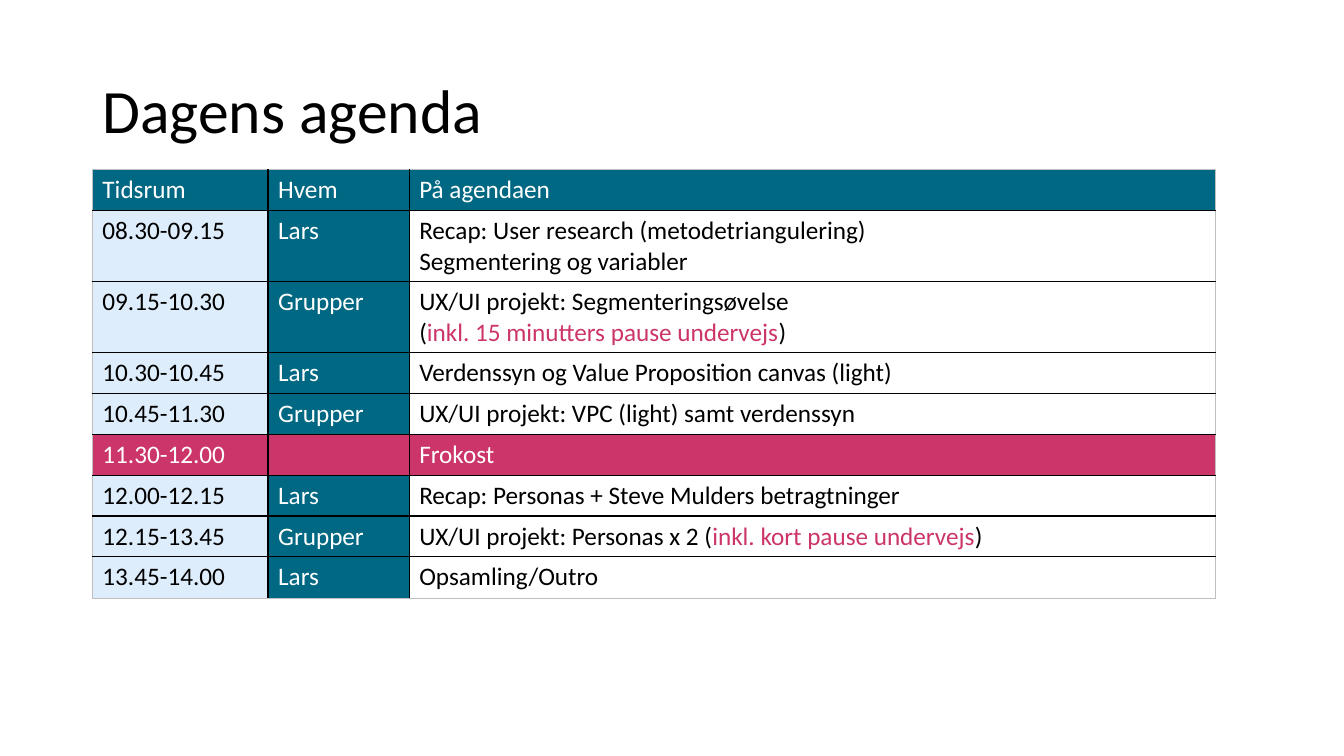
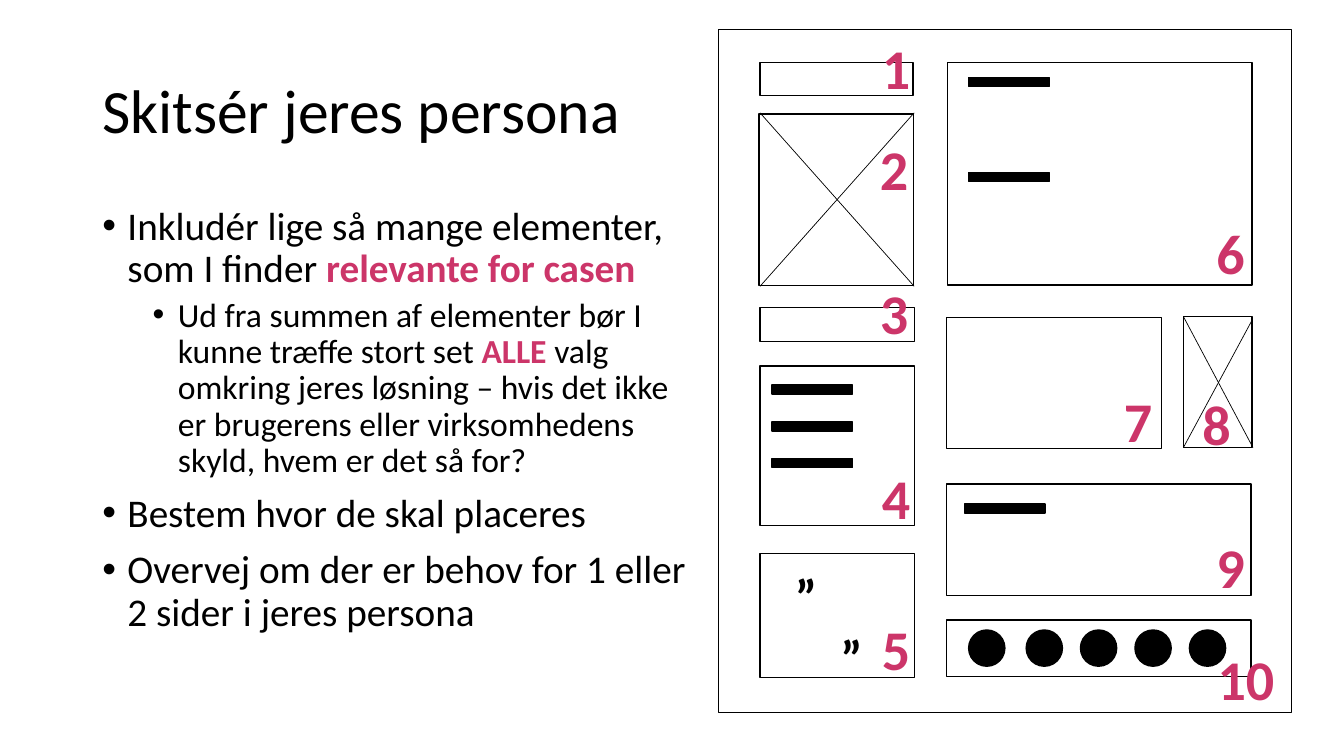
"""Builds an agenda slide and a persona sketch slide."""
import pptx
import pptx.dml.color
import pptx.enum.shapes
import pptx.enum.text
import pptx.oxml
import pptx.oxml.ns
import pptx.util
from lxml import etree

Pt = pptx.util.Pt
SHAPE = pptx.enum.shapes.MSO_SHAPE
FONT = "Calibri"
COLORS = {
    "black": "000000",
    "white": "FFFFFF",
    "teal": "006882",
    "pale": "DEEDFB",
    "pink": "CC3569",
    "edge": "BFBFBF",
}


def rgb(name):
    return pptx.dml.color.RGBColor.from_string(COLORS[name])


def write(paragraph, text, size, color="black", bold=False, accent_bold=False):
    """Write text whose parts between asterisks are pink."""
    for part_number, part in enumerate(text.split("*")):
        accent = part_number % 2 == 1
        for line_number, line in enumerate(part.split("\n")):
            if line_number:
                paragraph.add_line_break()
            if line:
                run = paragraph.add_run()
                run.text = line
                run.font.name = FONT
                run.font.size = Pt(size)
                run.font.bold = accent_bold if accent else bold
                run.font.color.rgb = rgb("pink" if accent else color)


presentation = pptx.Presentation()
presentation.slide_width = Pt(960)
presentation.slide_height = Pt(540)

slides = []
for title in ("Dagens agenda", "Skitsér jeres persona"):
    slide = presentation.slides.add_slide(presentation.slide_layouts[6])
    text_frame = slide.shapes.add_textbox(Pt(66), Pt(28.8), Pt(828), Pt(104.4)).text_frame
    text_frame.word_wrap = True
    text_frame.vertical_anchor = pptx.enum.text.MSO_ANCHOR.MIDDLE
    text_frame.paragraphs[0].line_spacing = 0.9
    write(text_frame.paragraphs[0], title, 44)
    slides.append(slide)
agenda_slide, persona_slide = slides

agenda = [
    ("Tidsrum", "Hvem", "På agendaen"),
    ("08.30-09.15", "Lars", "Recap: User research (metodetriangulering)\nSegmentering og variabler"),
    ("09.15-10.30", "Grupper", "UX/UI projekt: Segmenteringsøvelse\n(*inkl. 15 minutters pause undervejs*)"),
    ("10.30-10.45", "Lars", "Verdenssyn og Value Proposition canvas (light)"),
    ("10.45-11.30", "Grupper", "UX/UI projekt: VPC (light) samt verdenssyn"),
    ("11.30-12.00", "", "Frokost"),
    ("12.00-12.15", "Lars", "Recap: Personas + Steve Mulders betragtninger"),
    ("12.15-13.45", "Grupper", "UX/UI projekt: Personas x 2 (*inkl. kort pause undervejs*)"),
    ("13.45-14.00", "Lars", "Opsamling/Outro"),
]
column_widths = (125.5, 100.8, 576)
row_heights = [50.8 if "\n" in row[2] else 29.2 for row in agenda]
table = agenda_slide.shapes.add_table(
    len(agenda), len(column_widths), Pt(66), Pt(121), Pt(sum(column_widths)), Pt(sum(row_heights))
).table
table.first_row = False
table.horz_banding = False
for column, width in zip(table.columns, column_widths):
    column.width = Pt(width)
for row_index, row in enumerate(agenda):
    table.rows[row_index].height = Pt(row_heights[row_index])
    for column_index, text in enumerate(row):
        cell = table.cell(row_index, column_index)
        outer_sides = {
            "lnL": column_index == 0,
            "lnR": column_index == len(row) - 1,
            "lnT": row_index == 0,
            "lnB": row_index == len(agenda) - 1,
        }
        properties = cell._tc.get_or_add_tcPr()
        for side, outer in outer_sides.items():
            border = etree.SubElement(properties, pptx.oxml.ns.qn(f"a:{side}"))
            border.set("w", str(Pt(0.25 if outer else 1)))
            fill = etree.SubElement(border, pptx.oxml.ns.qn("a:solidFill"))
            color = etree.SubElement(fill, pptx.oxml.ns.qn("a:srgbClr"))
            color.set("val", COLORS["edge" if outer else "black"])
        if row_index == 0:
            background = "teal"
        elif row[2] == "Frokost":
            background = "pink"
        else:
            background = ("pale", "teal", "white")[column_index]
        cell.fill.solid()
        cell.fill.fore_color.rgb = rgb(background)
        text_color = "white" if background in ("teal", "pink") else "black"
        write(cell.text_frame.paragraphs[0], text, 18, text_color)

bullets = [
    (0, "Inkludér lige så mange elementer, som I finder *relevante for casen*"),
    (1, "Ud fra summen af elementer bør I kunne træffe stort set *ALLE* valg omkring jeres løsning "
        "– hvis det ikke er brugerens eller virksomhedens skyld, hvem er det så for?"),
    (0, "Bestem hvor de skal placeres"),
    (0, "Overvej om der er behov for 1 eller 2 sider i jeres persona"),
]
text_frame = persona_slide.shapes.add_textbox(Pt(66), Pt(144), Pt(432), Pt(342.7)).text_frame
text_frame.word_wrap = True
for index, (level, text) in enumerate(bullets):
    paragraph = text_frame.add_paragraph() if index else text_frame.paragraphs[0]
    properties = paragraph._p.get_or_add_pPr()
    properties.set("marL", str(Pt(18 + 36 * level)))
    properties.set("indent", str(Pt(-18)))
    etree.SubElement(properties, pptx.oxml.ns.qn("a:buFont")).set("typeface", "Arial")
    etree.SubElement(properties, pptx.oxml.ns.qn("a:buChar")).set("char", "•")
    paragraph.level = level
    paragraph.line_spacing = 0.9
    if index:
        paragraph.space_before = Pt(5 if level else 10)
    write(paragraph, text, 24 if level else 28, accent_bold=True)

frames = [
    (513.4, 20.9, 409, 488.2),
    (542.2, 81.4, 110.2, 122.4),
    (542.9, 219.6, 110.2, 24.5),
    (542.9, 44.6, 109.4, 23.8),
    (542.9, 261.4, 110.2, 113.8),
    (542.9, 395.3, 110.2, 88.6),
    (676.8, 44.6, 217.4, 159.1),
    (676.1, 226.8, 153.4, 93.6),
    (676.1, 345.6, 217.4, 79.9),
    (676.1, 442.8, 217.4, 40.3),
    (845.3, 226.1, 49, 93.6),
]
bars = [(691.9, 55.4), (691.9, 123.1), (689, 360), (551.5, 275), (551.5, 301.4), (551.5, 327.6)]
dot_lefts = (691.9, 733, 771.8, 810.7, 849.6)
blocks = [(SHAPE.RECTANGLE, "white", *frame) for frame in frames]
blocks += [(SHAPE.OVAL, "black", left, 450, 25.9, 25.9) for left in dot_lefts]
blocks += [(SHAPE.RECTANGLE, "black", left, top, 57.6, 6.5) for left, top in bars]
for kind, fill, left, top, width, height in blocks:
    shape = persona_slide.shapes.add_shape(kind, Pt(left), Pt(top), Pt(width), Pt(height))
    shape.shadow.inherit = False
    shape.fill.solid()
    shape.fill.fore_color.rgb = rgb(fill)
    shape.line.color.rgb = rgb("black")
    shape.line.width = Pt(1)

diagonals = [
    (542.9, 80.6, 653, 204.5),
    (542.9, 204.5, 653, 80.6),
    (845.3, 226.1, 895, 319.7),
    (845.3, 319.7, 894.2, 229),
]
for ends in diagonals:
    connector = persona_slide.shapes.add_connector(
        pptx.enum.shapes.MSO_CONNECTOR.STRAIGHT, *(Pt(value) for value in ends)
    )
    connector.line.color.rgb = rgb("black")
    connector.line.width = Pt(0.5)
    etree.SubElement(connector._element.spPr, pptx.oxml.ns.qn("a:effectLst"))

text_frame = persona_slide.shapes.add_textbox(Pt(560.9), Pt(400.3), Pt(69.8), Pt(94.3)).text_frame
text_frame.word_wrap = True
for index in range(2):
    paragraph = text_frame.add_paragraph() if index else text_frame.paragraphs[0]
    paragraph._p.get_or_add_pPr().set("marL", str(Pt(32.5 * index)))
    write(paragraph, "”", 36, bold=True)

number_places = [
    (622.8, 20.2), (621.4, 92.9), (621.4, 195.1), (622.8, 327.6), (622.8, 435.6),
    (861.8, 152.6), (795.6, 272.9), (851.8, 275), (861.8, 376.6), (862.6, 456.5),
]
for number, (left, top) in enumerate(number_places, 1):
    width = 27.4 if number < 10 else 61.9
    text_frame = persona_slide.shapes.add_textbox(Pt(left), Pt(top), Pt(width), Pt(55.4)).text_frame
    text_frame.word_wrap = True
    write(text_frame.paragraphs[0], str(number), 40, "pink", bold=True)

presentation.save("out.pptx")
